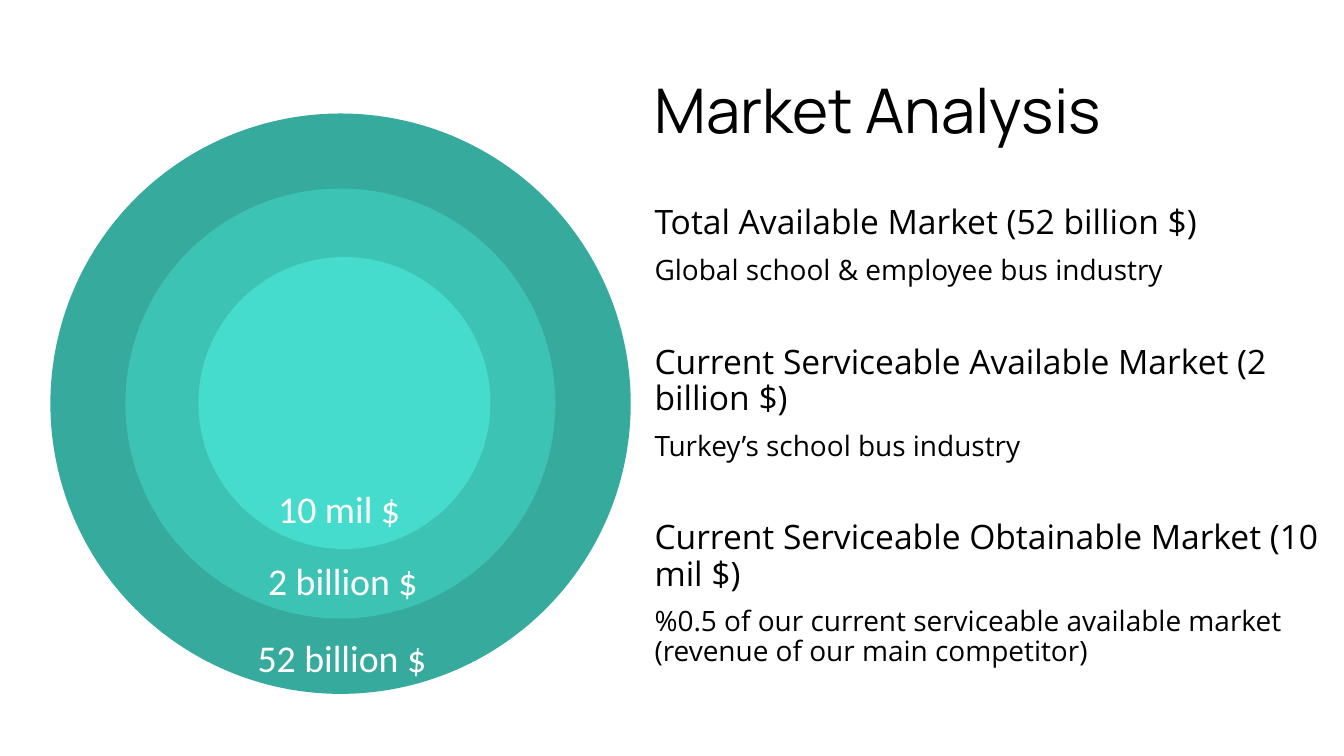
from pptx import Presentation
from pptx.dml.color import RGBColor as Rgb
from pptx.enum.shapes import MSO_SHAPE as Kind
from pptx.enum.text import MSO_ANCHOR as Anchor, MSO_AUTO_SIZE as Fit
from pptx.util import Cm, Pt

BLACK = Rgb(0x00, 0x00, 0x00)
WHITE = Rgb(0xFF, 0xFF, 0xFF)
DARK = Rgb(0x36, 0xAA, 0x9D)
MID = Rgb(0x3D, 0xC3, 0xB4)
LIGHT = Rgb(0x45, 0xDB, 0xCD)

RINGS = [
    (2.54, 5.72, 29.25, DARK),
    (6.32, 9.5, 21.67, MID),
    (10, 12.95, 14.72, LIGHT),
]
LABELS = [
    ("52 billion $", 12.73, 31.72, 9.25),
    ("2 billion $", 13.26, 27.86, 8.2),
    ("10 mil $", 13.77, 24.21, 8.2),
]
MARKETS = [
    ("Total Available Market (52 billion $)",
     "Global school & employee bus industry"),
    ("Current Serviceable Available Market (2 billion $)",
     "Turkey’s school bus industry"),
    ("Current Serviceable Obtainable Market (10 mil $)",
     "%0.5 of our current serviceable available market "
     "(revenue of our main competitor)"),
]


def add_ring(slide, left, top, size, color):
    ring = slide.shapes.add_shape(
        Kind.OVAL, Cm(left), Cm(top), Cm(size), Cm(size))
    ring.shadow.inherit = False
    ring.fill.solid()
    ring.fill.fore_color.rgb = color
    ring.line.fill.background()


def add_box(slide, left, top, width, height):
    box = slide.shapes.add_textbox(Cm(left), Cm(top), Cm(width), Cm(height))
    frame = box.text_frame
    frame.word_wrap = True
    frame.margin_left = frame.margin_right = Cm(0.25)
    frame.margin_top = frame.margin_bottom = Cm(0.25)
    return frame


def set_text(para, text, size, face, color, lines=1.0, before=0):
    para.text = text
    para.line_spacing = lines
    para.space_before = Pt(before)
    para.font.size = Pt(size)
    para.font.name = face
    para.font.color.rgb = color


def add_label(slide, text, left, top, width):
    frame = add_box(slide, left, top, width, 2.82)
    frame.auto_size = Fit.SHAPE_TO_FIT_TEXT
    set_text(frame.paragraphs[0], text, 54, "Calibri", WHITE)


def add_title(slide, text):
    frame = add_box(slide, 32.74, 2.03, 30.33, 7.37)
    frame.vertical_anchor = Anchor.MIDDLE
    set_text(frame.paragraphs[0], text, 88, "Manrope", BLACK, 0.9)


def add_body(slide, markets):
    frame = add_box(slide, 32.74, 10.13, 34.98, 24.18)
    for i, (name, note) in enumerate(markets):
        head = frame.add_paragraph() if i else frame.paragraphs[0]
        set_text(head, name, 48, "Open Sans", BLACK, 0.9, 84 if i else 0)
        set_text(frame.add_paragraph(), note, 40, "Open Sans", BLACK, 0.9, 20)


def main():
    deck = Presentation()
    deck.slide_width, deck.slide_height = Cm(67.74), Cm(38.1)
    slide = deck.slides.add_slide(deck.slide_layouts[6])
    add_title(slide, "Market Analysis")
    add_body(slide, MARKETS)
    for ring in RINGS:
        add_ring(slide, *ring)
    for label in LABELS:
        add_label(slide, *label)
    deck.save("out.pptx")


if __name__ == "__main__":
    main()
